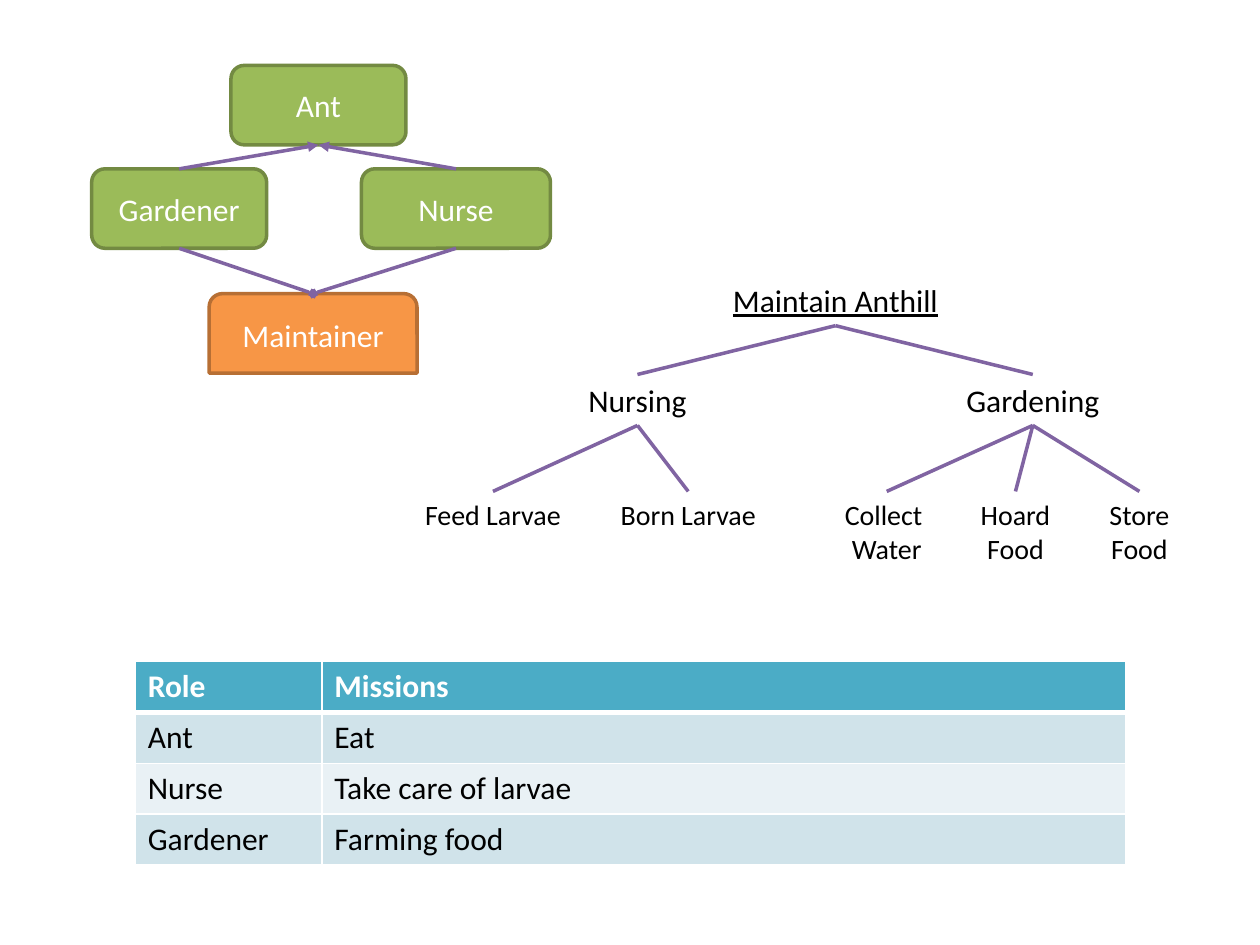
from pptx import Presentation
from pptx.dml.color import RGBColor
from pptx.enum.shapes import MSO_CONNECTOR as Link, MSO_SHAPE as Preset
from pptx.enum.text import MSO_ANCHOR as Anchor, MSO_AUTO_SIZE as AutoSize, PP_ALIGN as Align
from pptx.oxml import parse_xml
from pptx.oxml.ns import nsdecls
from pptx.util import Pt

COLORS = {
    "white": "FFFFFF", "black": "000000", "green": "9BBB59", "dark_green": "738A42",
    "orange": "F79646", "dark_orange": "B76F34", "purple": "8064A2",
    "teal": "4BACC6", "band": "D0E3EA", "light_band": "E9F1F5",
}


def rgb(name):
    return RGBColor.from_string(COLORS[name])


def write(frame, text, size=18, color="black", bold=False, underline=False, align=Align.CENTER):
    frame.text = text
    for paragraph in frame.paragraphs:
        paragraph.alignment = align
        for run in paragraph.runs:
            font = run.font
            font.name, font.size = "Calibri", Pt(size)
            font.bold, font.underline = bold, underline
            font.color.rgb = rgb(color)


class Board:
    """Draw styled boxes, labels, links and tables on one slide."""

    def __init__(self, slide, line_width=2):
        self.slide = slide
        self.line_width = line_width

    def box(self, text, left, top, width, height=45.4, fill="green", line="dark_green",
            preset=Preset.ROUNDED_RECTANGLE):
        shape = self.slide.shapes.add_shape(preset, Pt(left), Pt(top), Pt(width), Pt(height))
        shape.shadow.inherit = False
        shape.fill.solid()
        shape.fill.fore_color.rgb = rgb(fill)
        shape.line.color.rgb = rgb(line)
        shape.line.width = Pt(self.line_width)
        shape.text_frame.vertical_anchor = Anchor.MIDDLE
        write(shape.text_frame, text, color="white")
        return shape

    def label(self, text, center, top, width, height=29.1, **style):
        shape = self.slide.shapes.add_textbox(Pt(center - width / 2), Pt(top), Pt(width), Pt(height))
        shape.text_frame.word_wrap = False
        shape.text_frame.auto_size = AutoSize.SHAPE_TO_FIT_TEXT
        write(shape.text_frame, text, **style)
        return shape

    def link(self, start, end, upward=False, head=None):
        points = []
        for shape, at_bottom in ((start, not upward), (end, upward)):
            points += [shape.left + shape.width // 2, shape.top + at_bottom * shape.height]
        line = self.slide.shapes.add_connector(Link.STRAIGHT, *points)
        line.line.color.rgb = rgb("purple")
        line.line.width = Pt(self.line_width)
        if head:
            line.line._get_or_add_ln().append(parse_xml(f'<a:tailEnd {nsdecls("a")} type="{head}"/>'))
        line._element.spPr.append(parse_xml(f'<a:effectLst {nsdecls("a")}/>'))

    def table(self, rows, left, top, widths, row_height):
        grid = self.slide.shapes.add_table(len(rows), len(widths), Pt(left), Pt(top),
                                           Pt(sum(widths)), Pt(row_height * len(rows))).table
        for column, width in zip(grid.columns, widths):
            column.width = Pt(width)
        for r, row in enumerate(rows):
            grid.rows[r].height = Pt(row_height)
            header = r == 0
            fill = "teal" if header else ("light_band", "band")[r % 2]
            for c, text in enumerate(row):
                cell = grid.cell(r, c)
                write(cell.text_frame, text, color="white" if header else "black",
                      bold=header, align=Align.LEFT)
                cell.fill.solid()
                cell.fill.fore_color.rgb = rgb(fill)
                self.border(cell, top=3 if r == 1 else 1, bottom=3 if header else 1)

    def border(self, cell, top, bottom):
        properties = cell._tc.get_or_add_tcPr()
        for i, (side, width) in enumerate((("L", 1), ("R", 1), ("T", top), ("B", bottom))):
            properties.insert(i, parse_xml(
                f'<a:ln{side} {nsdecls("a")} w="{Pt(width)}"><a:solidFill>'
                f'<a:srgbClr val="{COLORS["white"]}"/></a:solidFill></a:ln{side}>'))


deck = Presentation()
deck.slide_width, deck.slide_height = Pt(720), Pt(540)
board = Board(deck.slides.add_slide(deck.slide_layouts[6]))

maintainer = board.box("Maintainer", 119.5, 167.8, 118.8, fill="orange", line="dark_orange",
                       preset=Preset.ROUND_2_SAME_RECTANGLE)
ant = board.box("Ant", 132, 37.4, 100)
gardener = board.box("Gardener", 52.4, 96.5, 100)
nurse = board.box("Nurse", 206.6, 96.5, 108)
for role in (gardener, nurse):
    board.link(role, maintainer, head="diamond")
    board.link(role, ant, upward=True, head="triangle")

goal = board.label("Maintain Anthill", 477.4, 157, 133.2, underline=True)
missions = (
    ("Nursing", 364.3, 71.3, (("Feed Larvae", 281.7, 92.9, 26.6), ("Born Larvae", 393.3, 92.9, 26.6))),
    ("Gardening", 590.2, 91.4, (("Collect \nWater", 506.7, 63.4, 46.1),
                                ("Hoard\vFood", 580.3, 54.7, 46.1),
                                ("Store\vFood", 651.1, 49.7, 46.1))),
)
for mission_name, mission_center, mission_width, tasks in missions:
    mission = board.label(mission_name, mission_center, 214, mission_width)
    board.link(goal, mission)
    for task_name, center, width, height in tasks:
        task = board.label(task_name, center, 280.8, width, height, size=16)
        board.link(mission, task)

board.table((("Role", "Missions"), ("Ant", "Eat"), ("Nurse", "Take care of larvae"),
             ("Gardener", "Farming food")), 77.3, 378, (106.6, 459.4), 29.1)

deck.save("out.pptx")
